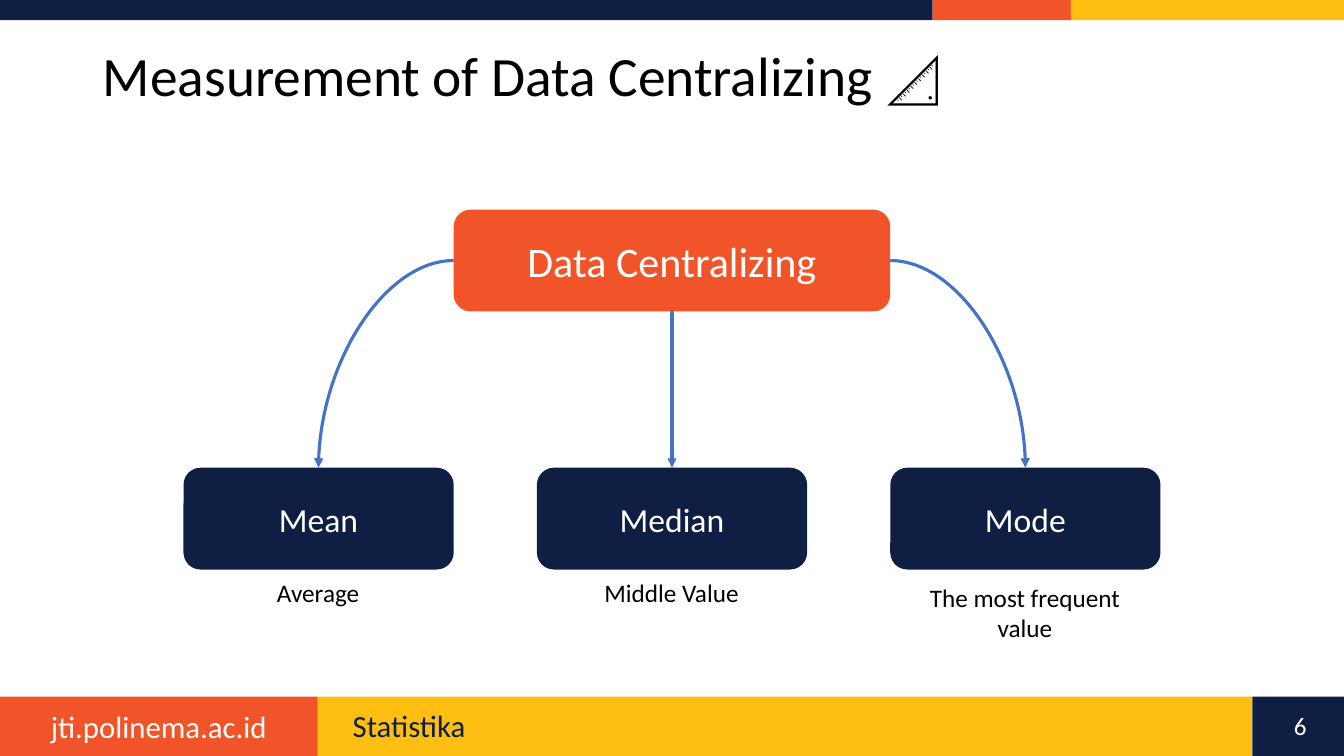
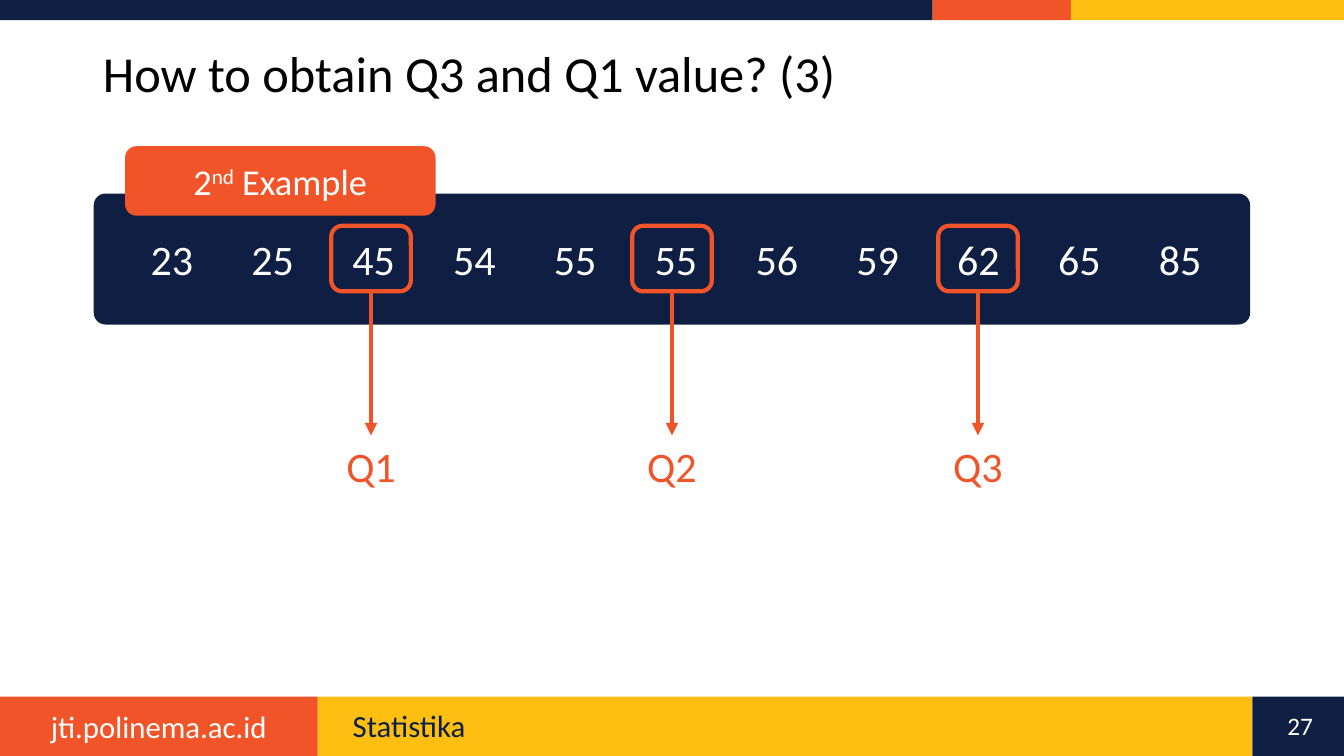
from lxml.etree import SubElement
from pptx import Presentation
from pptx.dml.color import RGBColor
from pptx.enum.shapes import MSO_CONNECTOR, MSO_SHAPE
from pptx.enum.text import MSO_ANCHOR, MSO_AUTO_SIZE, PP_ALIGN
from pptx.oxml.ns import qn
from pptx.util import Inches, Pt

NAVY = RGBColor(0x0E, 0x1F, 0x43)
ORANGE = RGBColor(0xF1, 0x54, 0x29)
YELLOW = RGBColor(0xFE, 0xBF, 0x12)
BLUE = RGBColor(0x44, 0x72, 0xC4)
WHITE = RGBColor(0xFF, 0xFF, 0xFF)
BLACK = RGBColor(0, 0, 0)
FONT = "Calibri"
WIDTH, HEIGHT = 13.33, 7.5
MIDDLE = WIDTH / 2
TOP, LEFT, BOTTOM, RIGHT = range(4)  # connection sites of a box


def place(page, area, text="", kind=None, fill=None, outline=None, size=18, color=WHITE,
          align=PP_ALIGN.CENTER, spacing=None, inset=0.1, tabs=()):
    """Add a shape, or a text box when kind is None; ^ marks off superscript."""
    area = [Inches(length) for length in area]
    if kind is None:
        box = page.shapes.add_textbox(*area)
    else:
        box = page.shapes.add_shape(kind, *area)
        box.shadow.inherit = False
        if fill is None:
            box.fill.background()
        else:
            box.fill.solid()
            box.fill.fore_color.rgb = fill
        if outline is None:
            box.line.fill.background()
        else:
            box.line.color.rgb = outline
            box.line.width = Pt(3)
    if not text:
        return box
    frame = box.text_frame
    frame.word_wrap = True
    frame.margin_left = Inches(inset)
    frame.vertical_anchor = MSO_ANCHOR.TOP if kind is None else MSO_ANCHOR.MIDDLE
    para = frame.paragraphs[0]
    para.alignment = align
    if spacing:
        para.line_spacing = spacing
    if tabs:
        stops = SubElement(para._p.get_or_add_pPr(), qn("a:tabLst"))
        for stop in tabs:
            SubElement(stops, qn("a:tab"), pos=str(Inches(stop)), algn="l")
    for index, piece in enumerate(text.split("^")):
        span = para.add_run()
        span.text = piece
        span.font.name, span.font.size = FONT, Pt(size)
        span.font.color.rgb = color
        if index % 2:
            span._r.get_or_add_rPr().set("baseline", "30000")
    return box


def link(page, source, site, target, color, width):
    """Draw an arrow from a site of the source to the top of the target."""
    straight = site == BOTTOM
    kind = MSO_CONNECTOR.STRAIGHT if straight else MSO_CONNECTOR.CURVE
    arrow = page.shapes.add_connector(kind, 0, 0, 0, 0)
    arrow.begin_connect(source, site)
    arrow.end_connect(target, TOP)
    arrow.line.color.rgb = color
    arrow.line.width = Pt(width)
    SubElement(arrow.line._get_or_add_ln(), qn("a:tailEnd"), type="triangle")
    properties = arrow._element.spPr
    SubElement(properties, qn("a:effectLst"))
    if not straight:
        properties.find(qn("a:prstGeom")).set("prst", "curvedConnector2")


deck = Presentation()
deck.slide_width, deck.slide_height = Inches(WIDTH), Inches(HEIGHT)

# Shared bands, footer and title style
BAND, FOOT = 0.2, 0.59
FOOT_TOP = HEIGHT - FOOT
BANDS = [
    (0, 0, 9.25, BAND, NAVY),
    (9.25, 0, 1.38, BAND, ORANGE),
    (10.62, 0, 2.71, BAND, YELLOW),
    (3.15, FOOT_TOP, 9.27, FOOT, YELLOW),
    (0, FOOT_TOP, 3.15, FOOT, ORANGE),
    (12.42, FOOT_TOP, 0.91, FOOT, NAVY),
]
TITLES = [
    ("Measurement of Data Centralizing 📐", 39.6, 0.75, "6"),
    ("How to obtain Q3 and Q1 value? (3)", 36, 0.71, "27"),
]
pages = []
for title, size, height, number in TITLES:
    page = deck.slides.add_slide(deck.slide_layouts[5])
    pages.append(page)
    for *area, fill in BANDS:
        place(page, area, kind=MSO_SHAPE.RECTANGLE, fill=fill)
    place(page, (0, 6.97, 3.15, 0.47), "jti.polinema.ac.id", size=22)
    place(page, (3.4, 7, 8.74, 0.4), "Statistika", size=22, color=NAVY,
          align=PP_ALIGN.LEFT, spacing=0.9)
    place(page, (12.59, 7, 0.61, 0.4), number)

    heading = page.shapes.title
    heading.left, heading.top = Inches(0.92), Inches(0.4)
    heading.width, heading.height = Inches(10.24), Inches(height)
    heading.text_frame.text = title
    heading.text_frame.auto_size = MSO_AUTO_SIZE.NONE
    heading.text_frame.vertical_anchor = MSO_ANCHOR.MIDDLE
    para = heading.text_frame.paragraphs[0]
    para.alignment, para.line_spacing = PP_ALIGN.LEFT, 0.9
    para.font.name, para.font.size = FONT, Pt(size)
    para.font.color.rgb = BLACK

measures_page, quartiles_page = pages

# Tree of the three measures
ROOT_W, NODE_W, NODE_H = 4.33, 2.68, 1.01
root = place(measures_page, (MIDDLE - ROOT_W / 2, 2.08, ROOT_W, NODE_H), "Data Centralizing",
             kind=MSO_SHAPE.ROUNDED_RECTANGLE, fill=ORANGE, size=30)
MEASURES = [
    ("Mean", "Average", 5.68, LEFT),
    ("Median", "Middle Value", 5.68, BOTTOM),
    ("Mode", "The most frequent value", 5.73, RIGHT),
]
for column, (name, meaning, top, site) in enumerate(MEASURES, start=-1):
    center = MIDDLE + column * (ROOT_W + NODE_W) / 2
    node = place(measures_page, (center - NODE_W / 2, 4.64, NODE_W, NODE_H), name,
                 kind=MSO_SHAPE.ROUNDED_RECTANGLE, fill=NAVY, size=24)
    place(measures_page, (center - 1.18, top, 2.35, 0.71), meaning, color=BLACK)
    link(measures_page, root, site, node, BLUE, 2.25)

# Row of sorted values, one per inch
VALUES = [23, 25, 45, 54, 55, 55, 56, 59, 62, 65, 85]
row = place(quartiles_page, (0.93, 1.92, 11.47, 1.3), "\t".join(map(str, VALUES)),
            kind=MSO_SHAPE.ROUNDED_RECTANGLE, fill=NAVY, size=30, align=PP_ALIGN.LEFT,
            inset=0.53, tabs=range(1, len(VALUES)))
row.adjustments[0] = 0.09
place(quartiles_page, (1.24, 1.45, 3.08, 0.69), "2^nd^ Example",
      kind=MSO_SHAPE.ROUNDED_RECTANGLE, fill=ORANGE, size=26)

# Quartile markers with their labels
MARK_W, MARK_H = 0.79, 0.65
for name, center in [("Q1", 3.68), ("Q2", MIDDLE), ("Q3", 9.7)]:
    left = center - MARK_W / 2
    marker = place(quartiles_page, (left, 2.24, MARK_W, MARK_H),
                   kind=MSO_SHAPE.ROUNDED_RECTANGLE, outline=ORANGE)
    label = place(quartiles_page, (left, 4.32, MARK_W, 0.61), name, size=30, color=ORANGE)
    link(quartiles_page, marker, BOTTOM, label, ORANGE, 3)

deck.save("out.pptx")
